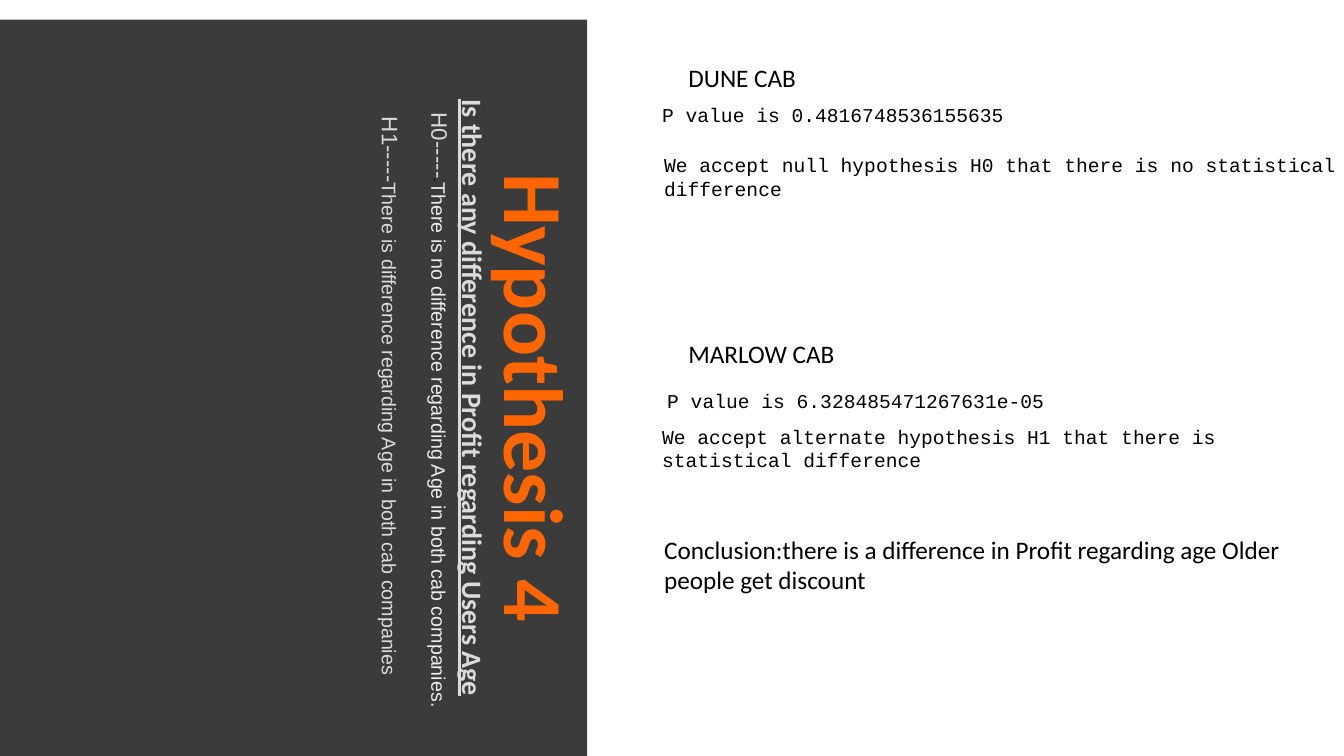
"""Build the Hypothesis 4 slide with a rotated title panel and test results."""
from pptx import Presentation
from pptx.dml.color import RGBColor
from pptx.enum.shapes import MSO_SHAPE
from pptx.enum.text import MSO_ANCHOR, PP_ALIGN
from pptx.util import Pt

BLACK = RGBColor(0x00, 0x00, 0x00)
WHITE = RGBColor(0xFF, 0xFF, 0xFF)
CHARCOAL = RGBColor(0x3B, 0x3B, 0x3B)
ORANGE = RGBColor(0xFF, 0x66, 0x00)
SILVER = RGBColor(0xDB, 0xDB, 0xDB)
PALE = RGBColor(0xED, 0xED, 0xED)


def add_run(p, text, size=18, font="Calibri", color=BLACK, bold=False, underline=False):
    r = p.add_run()
    r.text = text
    r.font.size = Pt(size)
    r.font.name = font
    r.font.color.rgb = color
    r.font.bold = bold
    r.font.underline = underline


prs = Presentation()
prs.slide_width, prs.slide_height = Pt(960), Pt(540)
s = prs.slides.add_slide(prs.slide_layouts[6])

panel = s.shapes.add_shape(MSO_SHAPE.RECTANGLE, Pt(-76.3), Pt(58.3), Pt(540), Pt(451.4))
panel.rotation = 90
panel.shadow.inherit = False
panel.fill.solid()
panel.fill.fore_color.rgb = CHARCOAL
panel.line.fill.background()
tf = panel.text_frame
tf.word_wrap = True
tf.vertical_anchor = MSO_ANCHOR.TOP
tf.margin_top = Pt(7.2)

arial = {"font": "Arial"}
panel_lines = [
    (0, [("Hypothesis 4", {"size": 60, "color": ORANGE, "bold": True})]),
    (0, [("Is there any difference in Profit regarding Users Age",
          {"size": 20, "color": SILVER, "bold": True, "underline": True})]),
    (4, [("H0-----", {"size": 16, "color": SILVER, **arial}),
         ("-", {"size": 8, **arial}),
         ("There is no difference regarding Age in both cab companies.",
          {"size": 14, "color": PALE, **arial})]),
    (18, [("H1-----", {"size": 16, "color": SILVER, **arial}),
          ("There is difference regarding Age in both cab companies",
           {"size": 14, "color": SILVER, **arial}),
          (".", {"size": 8, **arial})]),
]
for i, (gap, runs) in enumerate(panel_lines):
    p = tf.paragraphs[0] if i == 0 else tf.add_paragraph()
    p.alignment = PP_ALIGN.CENTER
    p.line_spacing = 0.9
    p.space_before = Pt(gap)
    for text, style in runs:
        add_run(p, text, **style)
tf.paragraphs[2]._p.get_or_add_pPr().set("marL", str(Pt(18)))

results = [
    ("We accept alternate hypothesis H1 that there is statistical difference",
     473, 303.1, 466.6, 33.8),
    ("P value is 0.4816748536155635", 473, 73.4, 422.6, 17.3),
    ("P value is 6.328485471267631e-05", 476.6, 277.2, 459.4, 17.3),
]
for text, x, y, w, h in results:
    sp = s.shapes.add_shape(MSO_SHAPE.RECTANGLE, Pt(x), Pt(y), Pt(w), Pt(h))
    sp.shadow.inherit = False
    sp.fill.solid()
    sp.fill.fore_color.rgb = WHITE
    sp.line.fill.background()
    tf = sp.text_frame
    tf.word_wrap = True
    tf.vertical_anchor = MSO_ANCHOR.MIDDLE
    tf.margin_left = tf.margin_top = tf.margin_right = tf.margin_bottom = 0
    tf.paragraphs[0].alignment = PP_ALIGN.LEFT
    add_run(tf.paragraphs[0], text, size=14, font="Courier New")

notes = [
    ("DUNE CAB", 484.6, 41, 454.3, 28.8, {}),
    ("MARLOW CAB", 484.6, 238, 283.7, 28.8, {}),
    ("We accept null hypothesis H0 that there is no statistical difference",
     467.3, 105.8, 496.1, 41, {"size": 14, "font": "Courier New"}),
    ("Conclusion:there is a difference in Profit regarding age Older people get discount",
     467.3, 378, 466.6, 51.1, {}),
]
for text, x, y, w, h, style in notes:
    tf = s.shapes.add_textbox(Pt(x), Pt(y), Pt(w), Pt(h)).text_frame
    tf.word_wrap = True
    add_run(tf.paragraphs[0], text, **style)

prs.save("out.pptx")
